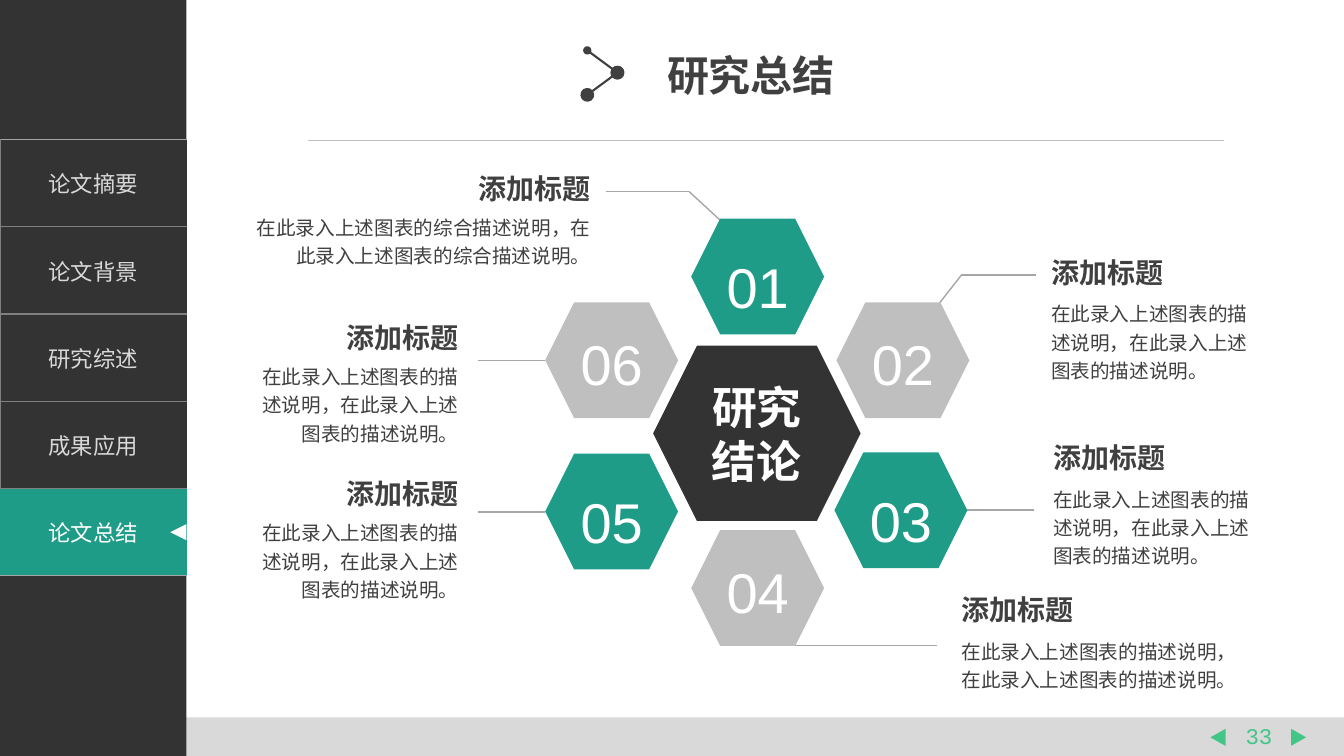
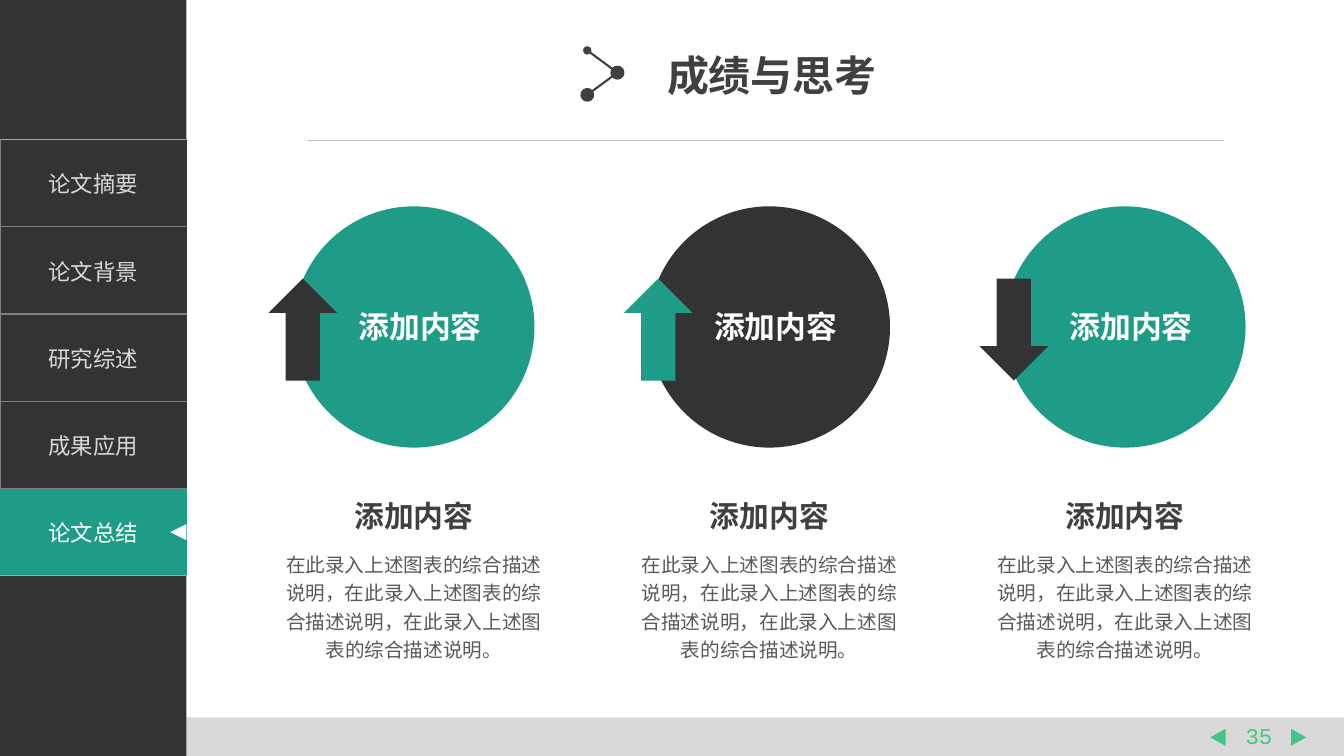
from dataclasses import dataclass
from itertools import pairwise

from lxml import etree
from pptx import Presentation
from pptx.dml.color import RGBColor
from pptx.enum.shapes import MSO_CONNECTOR, MSO_SHAPE
from pptx.enum.text import MSO_ANCHOR, PP_ALIGN
from pptx.oxml.ns import qn
from pptx.util import Cm, Pt

LEFT, MID, RIGHT = PP_ALIGN.LEFT, PP_ALIGN.CENTER, PP_ALIGN.RIGHT
TOP, MIDDLE = MSO_ANCHOR.TOP, MSO_ANCHOR.MIDDLE
RECT, OVAL, HEX = MSO_SHAPE.RECTANGLE, MSO_SHAPE.OVAL, MSO_SHAPE.HEXAGON
TRI = MSO_SHAPE.ISOSCELES_TRIANGLE
UP, DOWN = MSO_SHAPE.UP_ARROW, MSO_SHAPE.DOWN_ARROW
STRAIGHT = MSO_CONNECTOR.STRAIGHT


@dataclass(frozen=True)
class Theme:
    teal: str = "1E9C87"
    dark: str = "333333"
    ink: str = "404040"
    soft: str = "595959"
    grid: str = "808080"
    line: str = "A6A6A6"
    gray: str = "BFBFBF"
    pale: str = "D9D9D9"
    green: str = "42C687"
    white: str = "FFFFFF"
    sans: str = "Noto Sans CJK SC"
    latin: str = "Arial"
    mono: str = "Courier New"
    title: float = 30
    digit: float = 40
    core: float = 32
    badge: float = 22
    head: float = 21.3
    label: float = 20
    menu: float = 16
    body: float = 14


T = Theme()
WIDE, HIGH = 33.87, 19.05
SIDE = 4.7
ROW, MENU_TOP = 2.2, 3.51
HEX_W, HEX_H = 3.35, 2.92
DISC, PITCH = 6.08, 8.96

MENU = ["论文摘要", "论文背景", "研究综述", "成果应用", "论文总结"]
ACTIVE = 4

LABEL = "添加标题"
SHORT = "在此录入上述图表的描述说明，在此录入上述图表的描述说明。"
LONG = "在此录入上述图表的综合描述说明，在此录入上述图表的综合描述说明。"
CORE = "研究结论"
# number, hexagon corner, fill, leader points
CELLS = [
    ("01", (17.42, 5.51), T.teal, [(18.16, 5.56), (17.37, 4.83), (15.27, 4.83)]),
    ("02", (21.08, 7.62), T.gray, [(23.65, 7.67), (24.23, 6.93), (26.11, 6.93)]),
    ("03", (21.03, 11.4), T.teal, [(24.38, 12.85), (26.06, 12.85)]),
    ("04", (17.42, 13.36), T.gray, [(20.04, 16.26), (23.62, 16.26)]),
    ("05", (13.74, 11.43), T.teal, [(13.74, 12.9), (12.04, 12.9)]),
    ("06", (13.74, 7.62), T.gray, [(13.74, 9.09), (12.04, 9.09)]),
]
# left, top, width, gap to body, alignment, body
NOTES = [
    (6.0, 4.19, 9.14, 1.0, RIGHT, LONG),
    (26.24, 6.3, 5.9, 1.07, LEFT, SHORT),
    (26.29, 10.97, 5.9, 1.07, LEFT, SHORT),
    (23.98, 14.81, 7.9, 1.07, LEFT, SHORT),
    (6.27, 11.89, 5.54, 1.0, RIGHT, SHORT),
    (6.27, 7.95, 5.54, 1.0, RIGHT, SHORT),
]

TOPIC = "添加内容"
STORY = "在此录入上述图表的综合描述说明，" * 2 + "在此录入上述图表的综合描述说明。"
# circle fill, arrow fill, arrow shape
DISCS = [(T.teal, T.dark, UP), (T.dark, T.teal, UP), (T.teal, T.dark, DOWN)]


def rgb(code):
    return RGBColor.from_string(code)


def write(frame, text, size, color, align=LEFT, bold=False, font=T.sans,
          space=None, anchor=TOP, pads=(0.25, 0.13, 0.25, 0.13)):
    """Fill a text frame with one styled paragraph; pads are left, top, right, bottom."""
    frame.word_wrap = True
    frame.vertical_anchor = anchor
    (frame.margin_left, frame.margin_top,
     frame.margin_right, frame.margin_bottom) = map(Cm, pads)
    para = frame.paragraphs[0]
    para.alignment = align
    para.line_spacing = space
    run = para.add_run()
    run.text = text
    run.font.size, run.font.bold, run.font.name = Pt(size), bold, font
    run.font.color.rgb = rgb(color)
    etree.SubElement(run.font._element, qn("a:ea"), typeface=T.sans)


def box(slide, x, y, w, h, text, size, color, **style):
    frame = slide.shapes.add_textbox(Cm(x), Cm(y), Cm(w), Cm(h)).text_frame
    write(frame, text, size, color, **style)


def shape(slide, kind, x, y, w, h, fill, turn=0):
    item = slide.shapes.add_shape(kind, Cm(x), Cm(y), Cm(w), Cm(h))
    item.shadow.inherit = False
    item.fill.solid()
    item.fill.fore_color.rgb = rgb(fill)
    item.line.fill.background()
    item.rotation = turn
    return item


def line(slide, start, end, color, width, dots=None):
    """Draw a line; dots gives the sizes of round ends at start and end."""
    item = slide.shapes.add_connector(STRAIGHT, *map(Cm, (*start, *end)))
    item.line.color.rgb = rgb(color)
    item.line.width = Pt(width)
    props = item._element.spPr
    if dots:
        for tag, size in zip(("a:headEnd", "a:tailEnd"), dots):
            etree.SubElement(props.get_or_add_ln(), qn(tag),
                             type="oval", w=size, len=size)
    etree.SubElement(props, qn("a:effectLst"))


def edge(cell, colors):
    """Set cell borders, in the order left, right, top, bottom; None hides one."""
    props = cell._tc.get_or_add_tcPr()
    for spot, (side, color) in enumerate(zip("LRTB", colors)):
        rim = etree.Element(qn("a:ln" + side), w=str(Pt(1)))
        if color:
            fill = etree.SubElement(rim, qn("a:solidFill"))
            etree.SubElement(fill, qn("a:srgbClr"), val=color)
        else:
            etree.SubElement(rim, qn("a:noFill"))
        props.insert(spot, rim)


def menu(slide):
    last = len(MENU) - 1
    table = slide.shapes.add_table(len(MENU), 1, 0, Cm(MENU_TOP), Cm(SIDE),
                                   Cm(ROW * len(MENU))).table
    table.first_row = table.horz_banding = False
    for i, name in enumerate(MENU):
        table.rows[i].height = Cm(ROW)
        cell, live = table.cell(i, 0), i == ACTIVE
        write(cell.text_frame, name, T.menu, T.white if live else T.pale, align=MID)
        cell.vertical_anchor = MIDDLE
        cell.fill.solid()
        cell.fill.fore_color.rgb = rgb(T.teal if live else T.dark)
        edge(cell, (None if live else T.grid, None,
                    T.grid if i else T.line, T.line if i == last else T.grid))
    nub = 0.41
    shape(slide, TRI, SIDE - nub, MENU_TOP + ROW * (ACTIVE + 0.5) - nub / 2,
          nub, nub, T.white, 270)


def base(deck, title, page):
    """Add a slide with the side menu, title, rule and footer."""
    slide = deck.slides.add_slide(deck.slide_layouts[6])
    foot = 0.97
    shape(slide, RECT, 0, HIGH - foot, WIDE, foot, T.pale)
    box(slide, 30.98, 18.06, 1.5, 0.94, page, T.menu, T.green, align=MID, font=T.mono)
    for x, turn in ((30.48, 270), (32.51, 90)):
        shape(slide, TRI, x, 18.39, 0.43, 0.38, T.green, turn)
    shape(slide, RECT, 0, 0, SIDE, HIGH, T.dark)
    menu(slide)
    line(slide, (7.75, 3.53), (30.84, 3.53), T.gray, 0.5)
    box(slide, 16.56, 1.12, 10, 1.55, title, T.title, T.ink, bold=True, font=T.latin)
    tip = (15.56, 1.83)
    line(slide, (14.8, 1.27), tip, T.ink, 1.5, ("med", "lg"))
    line(slide, tip, (14.8, 2.39), T.ink, 1.5, ("lg", "lg"))
    return slide


def wheel(slide):
    for _, _, _, points in CELLS:
        for start, end in pairwise(points):
            line(slide, start, end, T.line, 1)
    for num, spot, fill, _ in CELLS:
        item = shape(slide, HEX, *spot, HEX_W, HEX_H, fill)
        write(item.text_frame, num, T.digit, T.white, align=MID, font=T.latin,
              space=1.2 if fill == T.teal else None, anchor=MIDDLE,
              pads=(0, 0.16, 0, 0))
    core = shape(slide, HEX, 16.46, 8.71, 5.23, 4.42, T.dark)
    write(core.text_frame, CORE, T.core, T.white, align=MID, bold=True,
          anchor=MIDDLE, pads=(0.4, 0, 0.4, 0))
    for x, y, w, gap, align, text in NOTES:
        box(slide, x, y, w, 1.12, LABEL, T.label, T.ink, align=align, bold=True)
        box(slide, x, y + gap, w, 2.41, text, T.body, T.ink, align=align, space=1.2)


def trio(slide):
    text_w, arrow_w = 7.39, 1.73
    for i, (fill, tint, kind) in enumerate(DISCS):
        x = 7.39 + i * PITCH
        left = x + (DISC - text_w) / 2
        shape(slide, OVAL, x, 5.2, DISC, DISC, fill)
        shape(slide, kind, x + 0.24 - arrow_w / 2, 7.02, arrow_w, 2.57, tint)
        box(slide, x + 1.4, 7.62, 3.81, 1.19, TOPIC, T.badge, T.white, bold=True)
        box(slide, left, 12.4, text_w, 1.6, TOPIC, T.head, T.ink, align=MID, bold=True)
        box(slide, left, 13.64, text_w, 3.05, STORY, T.body, T.soft, align=MID,
            space=1.2, pads=(0.33, 0.18, 0.33, 0.18))


def main():
    deck = Presentation()
    deck.slide_width, deck.slide_height = Cm(WIDE), Cm(HIGH)
    wheel(base(deck, "研究总结", "33"))
    trio(base(deck, "成绩与思考", "35"))
    deck.save("out.pptx")


if __name__ == "__main__":
    main()
